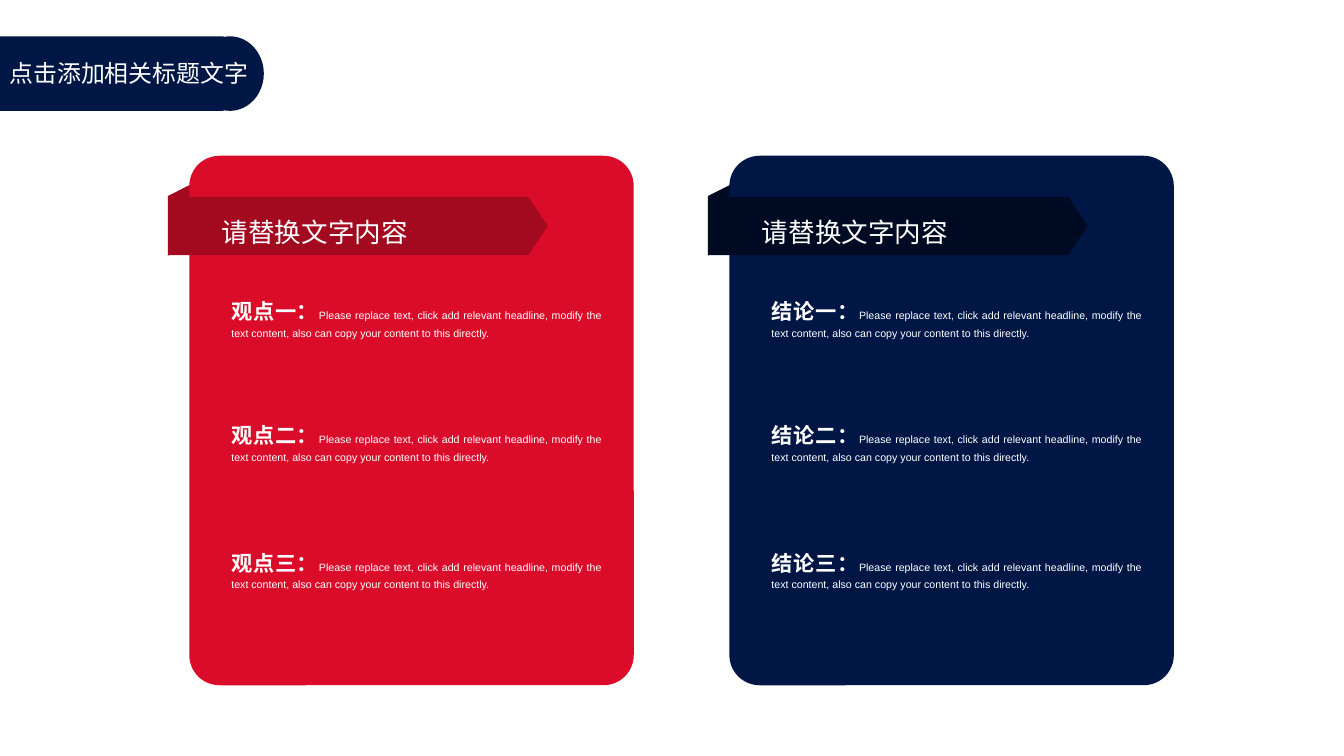
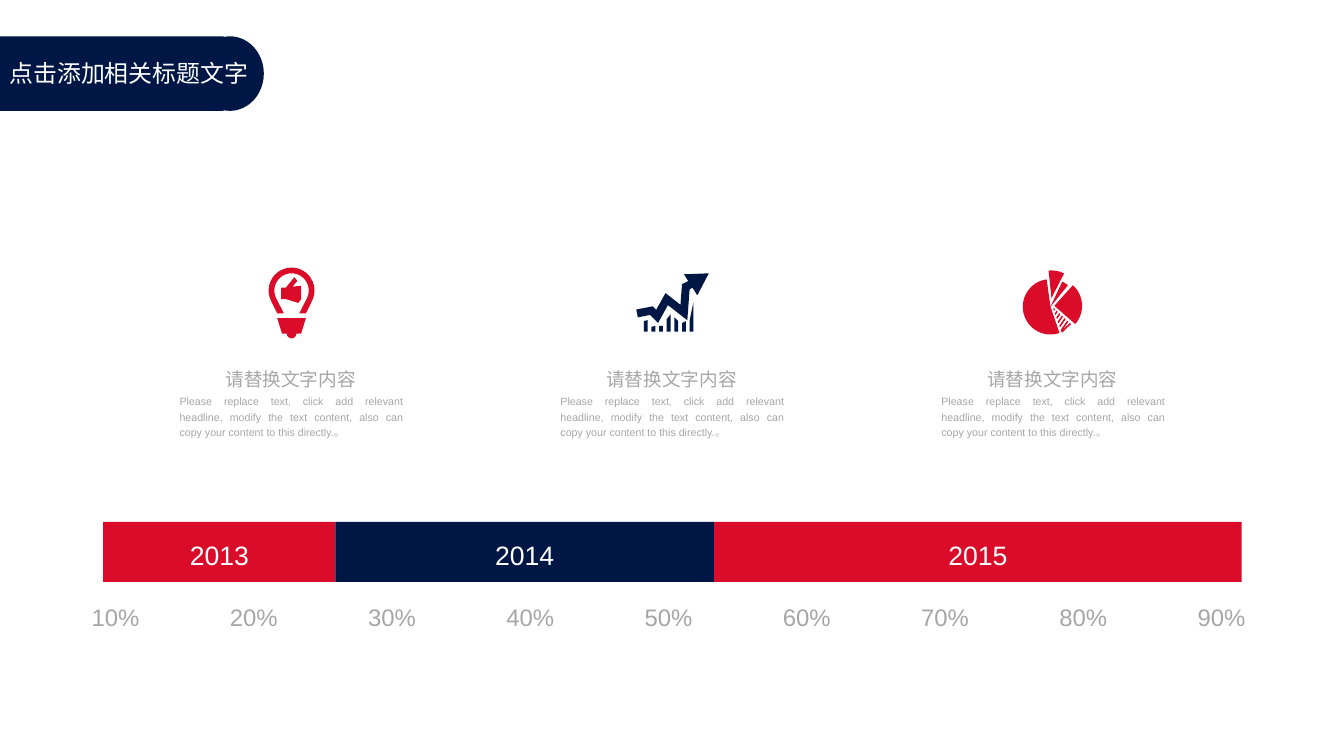
from math import cos, radians, sin
from lxml.etree import SubElement
from pptx import Presentation
from pptx.util import Emu, Pt
from pptx.dml.color import RGBColor
from pptx.enum.shapes import MSO_SHAPE as S
from pptx.enum.text import PP_ALIGN as A, MSO_ANCHOR, MSO_AUTO_SIZE
from pptx.oxml.ns import qn

NAVY, RED, GREY, WHITE = "001746", "DA0C2A", "A6A6A6", "FFFFFF"
SCALE = 9144
WIDE, HIGH = 1406, 791

TITLE = "点击添加相关标题文字"
HEAD = "请替换文字内容"
BODY = ("Please replace text, click add relevant headline, modify the text content, "
        "also can copy your content to this directly.")
CARDS = [
    (RED, "A3091F", ("观点一：", "观点二：", "观点三：")),
    (NAVY, "000B23", ("结论一：", "结论二：", "结论三：")),
]
TOPS = (307, 437, 570)
BARS = [("2013", 243, RED), ("2014", 396, NAVY), ("2015", 552, RED)]
MARKS = [f"{n}%" for n in range(10, 100, 10)]

ICON_TOP = 316
THUMB = [(-11, -15), (-6, -15), (3, -26), (6, -22), (1, -16), (10, -17),
         (10, -3), (7, 1), (-6, -3), (-11, -3)]
STEMS = [(20, 19), (26, 25), (25, 25), (18, 13), (16, 20), (22, 20), (19, 0)]
CLIMB = [(-37, 12), (-22, 9), (-16, 15), (-6, -3), (12, 11), (14, -16), (20, -19)]
TIP = [(38, -30), (26, -7), (12, -29)]
SLICES = [
    ((-3, 5), 71, 262),
    ((-2, -4), 264, 297),
    ((-3, 5), 295, 309),
    ((1, 4), -48, 41),
]


def px(n):
    return Emu(round(n * SCALE))


def tint(code):
    return RGBColor.from_string(code)


def paint(shape, code):
    shape.shadow.inherit = False
    shape.fill.solid()
    shape.fill.fore_color.rgb = tint(code)
    shape.line.fill.background()
    return shape


def block(slide, kind, box, code, adj=None):
    shape = paint(slide.shapes.add_shape(kind, *map(px, box)), code)
    if adj is not None:
        shape.adjustments[0] = adj
    return shape


def write(frame, runs, code, align=A.LEFT, lead=1.2, face="Arial"):
    para = frame.paragraphs[0]
    para.alignment, para.line_spacing = align, lead
    for text, size, bold in runs:
        run = para.add_run()
        run.text = text
        look = {"name": face, "size": Pt(size), "bold": bold}
        for key, val in look.items():
            setattr(run.font, key, val)
        run.font.color.rgb = tint(code)


def label(slide, box, runs, code, wrap=True, inset=True, **style):
    frame = slide.shapes.add_textbox(*map(px, box)).text_frame
    look = {"word_wrap": wrap, "auto_size": MSO_AUTO_SIZE.SHAPE_TO_FIT_TEXT}
    if not inset:
        look.update({f"margin_{side}": 0 for side in ("left", "top", "right", "bottom")})
    for key, val in look.items():
        setattr(frame, key, val)
    write(frame, runs, code, **style)


def spread(first, last, count):
    return [first + (last - first) * n / (count - 1) for n in range(count)]


def polar(hub, reach, angle):
    turn = radians(angle)
    return hub[0] + reach * cos(turn), hub[1] + reach * sin(turn)


def arc(hub, reach, begin, end):
    return [polar(hub, reach, angle) for angle in spread(begin, end, 25)]


def outline(slide, mid, loops, close=True):
    spots = [[(px(mid + x), px(ICON_TOP + y)) for x, y in loop] for loop in loops]
    pen = slide.shapes.build_freeform(*spots[0][0])
    for loop in spots:
        pen.move_to(*loop[0])
        pen.add_line_segments(loop[1:], close=close)
    return pen.convert_to_shape()


def dome(reach, foot):
    return [(-foot, 12), *arc((0, -12), reach, 155, 385), (foot, 12)]


def bulb(slide, mid, code):
    glass = dome(24, 15) + dome(18, 8)[::-1]
    socket = [(-15, 17), (15, 17), (10, 33), (-10, 33)]
    knob = arc((0, 33), 5, 0, 180)
    paint(outline(slide, mid, [glass, socket, knob, THUMB]), code)


def trend(slide, mid, code):
    stems = []
    for n, (left, right) in enumerate(STEMS):
        x = 8 * n - 30
        stems.append([(x, 31), (x, left), (x + 4, right), (x + 4, 31)])
    paint(outline(slide, mid, stems + [TIP]), code)
    climb = paint(outline(slide, mid, [CLIMB], close=False), code)
    climb.fill.background()
    climb.line.color.rgb = tint(code)
    climb.line.width = Pt(6)
    SubElement(climb.element.spPr.find(qn("a:ln")), qn("a:miter"), lim="800000")


def pie(slide, mid, code):
    reach, hub = 29, (-1, 5)
    slices = [[tip, *arc(tip, reach, begin, end)] for tip, begin, end in SLICES]
    stripes = []
    for n in range(1, 8):
        high, low = 3.8 * n, min(4.6 * n, reach)
        stripes.append([polar(hub, high, 43), polar(hub, high - 1.6, 43),
                        polar(hub, low - 2, 70), polar(hub, low, 70)])
    paint(outline(slide, mid, slices + stripes), code)


def start(deck):
    slide = deck.slides.add_slide(deck.slide_layouts[6])
    block(slide, S.RECTANGLE, (0, 38, 234, 78), NAVY)
    block(slide, S.OVAL, (205, 38, 71, 78), NAVY)
    label(slide, (0, 56, 276, 40), [(TITLE, 18, False)], WHITE, lead=1.0,
          face="Noto Sans CJK SC")
    return slide


def views(deck):
    slide = start(deck)
    for left, (main_code, dark, names) in zip(spread(198, 763, len(CARDS)), CARDS):
        fold = block(slide, S.FLOWCHART_DATA, (left - 46, 213, 78, 31), dark)
        fold.rotation = 270
        fold.element.spPr.xfrm.set("flipH", "1")
        block(slide, S.ROUNDED_RECTANGLE, (left, 163, 465, 554), main_code, 0.068)
        block(slide, S.PENTAGON, (left - 22, 206, 397, 61), dark, 0.335)
        label(slide, (left + 34, 219, 261, 37), [(HEAD, 20, False)], WHITE, inset=False)
        for top, name in zip(TOPS, names):
            label(slide, (left + 44, top, 388, 48), [(name, 16, True), (BODY, 8, False)],
                  WHITE, inset=False, align=A.JUSTIFY)


def years(deck):
    slide = start(deck)
    for left, mark in zip(spread(86, 1243, len(MARKS)), MARKS):
        label(slide, (left, 620, 71, 43), [(mark, 18, False)], GREY, wrap=False,
              align=A.JUSTIFY)
    left = 108
    for year, width, code in BARS:
        bar = block(slide, S.RECTANGLE, (left, 546, width, 63), code)
        bar.text_frame.vertical_anchor = MSO_ANCHOR.MIDDLE
        write(bar.text_frame, [(year, 20, False)], WHITE, align=A.CENTER)
        left += width
    icons = [(bulb, RED), (trend, NAVY), (pie, RED)]
    for mid, (draw, code) in zip(spread(305, 1102, len(icons)), icons):
        draw(slide, mid, code)
        label(slide, (mid - 79, 375, 158, 36), [(HEAD, 14, False)], GREY, wrap=False,
              align=A.JUSTIFY)
        label(slide, (mid - 127, 406, 254, 59), [(BODY + "。", 8, False)], GREY,
              align=A.JUSTIFY)


def main():
    deck = Presentation()
    deck.slide_width, deck.slide_height = px(WIDE), px(HIGH)
    views(deck)
    years(deck)
    deck.save("out.pptx")


if __name__ == "__main__":
    main()
